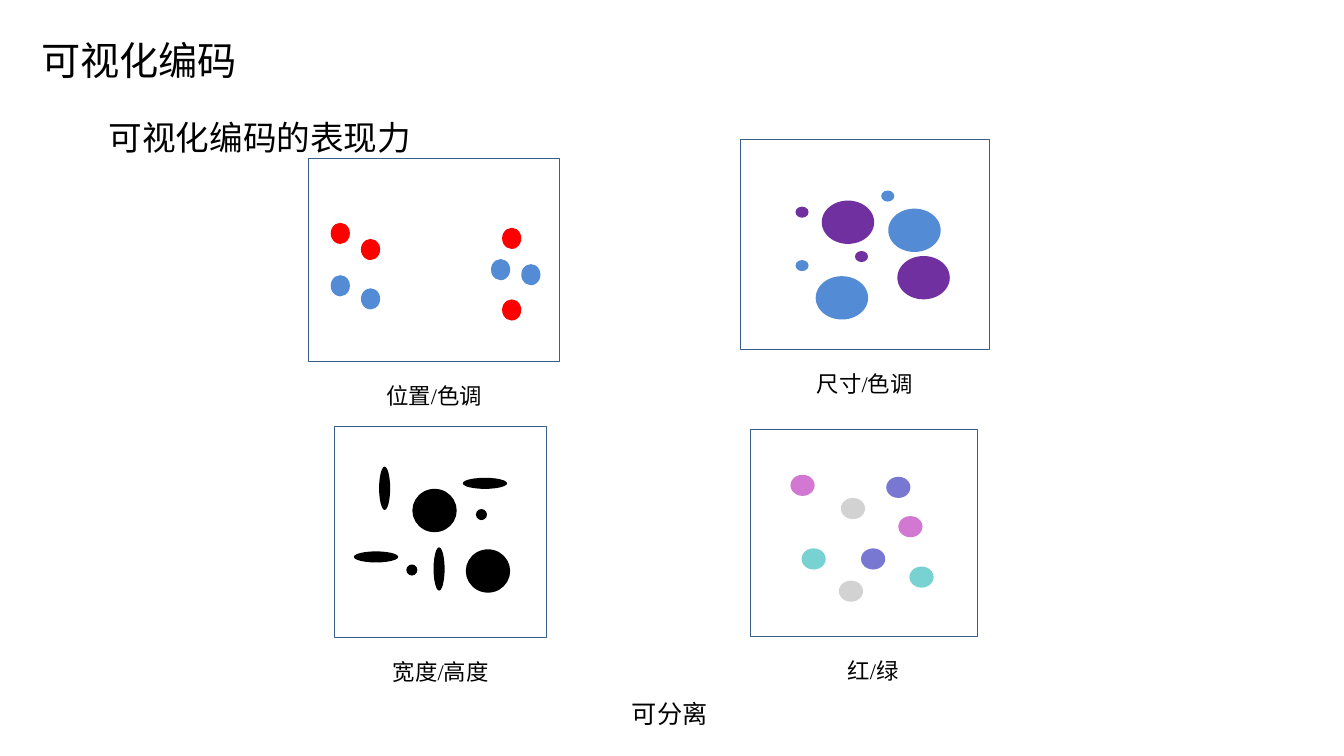
from pptx import Presentation
from pptx.dml.color import RGBColor
from pptx.enum.shapes import MSO_SHAPE as Preset
from pptx.enum.text import MSO_AUTO_SIZE as AutoSize, PP_ALIGN as Align
from pptx.oxml.ns import qn
from pptx.util import Inches, Pt
from lxml import etree

CJK_FONT = "Noto Sans CJK SC"
BLACK, FRAME_LINE = "000000", "395E8A"
RED, BLUE, PURPLE = "FF0000", "538CD5", "7030A0"
PINK, TEAL, VIOLET, GREY = "D278D2", "78D2D2", "7878D2", "D2D2D2"
CAPTION_GAP = 0.15

DOT = (0.19, 0.21)
SMALL, LARGE = (0.13, 0.11), (0.52, 0.43)
TALL, FLAT, ROUND, POINT = (0.11, 0.43), (0.44, 0.11), (0.44, 0.43), (0.11, 0.11)
SPOT = (0.24, 0.21)

# Each mark: offset from the frame's top left corner, size, colour
POSITION_HUE = [
    (0.22, 0.64, DOT, RED), (0.22, 1.16, DOT, BLUE),
    (2.11, 1.05, DOT, BLUE), (0.52, 0.80, DOT, RED),
    (0.52, 1.29, DOT, BLUE), (1.81, 1.00, DOT, BLUE),
    (1.92, 0.69, DOT, RED), (1.92, 1.40, DOT, RED),
]
SIZE_HUE = [
    (0.55, 0.67, SMALL, PURPLE), (0.55, 1.20, SMALL, BLUE),
    (1.40, 0.51, SMALL, BLUE), (0.81, 0.61, LARGE, PURPLE),
    (0.75, 1.36, LARGE, BLUE), (1.47, 0.69, LARGE, BLUE),
    (1.14, 1.11, SMALL, PURPLE), (1.56, 1.16, LARGE, PURPLE),
]
WIDTH_HEIGHT = [
    (0.44, 0.40, TALL, BLACK), (0.19, 1.24, FLAT, BLACK),
    (1.27, 0.51, FLAT, BLACK), (0.77, 0.62, ROUND, BLACK),
    (0.71, 1.37, POINT, BLACK), (1.40, 0.82, POINT, BLACK),
    (0.98, 1.20, TALL, BLACK), (1.30, 1.22, ROUND, BLACK),
]
RED_GREEN = [
    (0.40, 0.45, SPOT, PINK), (0.51, 1.18, SPOT, TEAL),
    (1.35, 0.47, SPOT, VIOLET), (0.90, 0.68, SPOT, GREY),
    (0.88, 1.50, SPOT, GREY), (1.47, 0.86, SPOT, PINK),
    (1.10, 1.18, SPOT, VIOLET), (1.58, 1.36, SPOT, TEAL),
]


def rgb(color):
    return RGBColor.from_string(color)


def add_text(shapes, text, left, top, width, height, *, size, font,
             align=Align.LEFT, wrap=False):
    box = shapes.add_textbox(*map(Inches, (left, top, width, height)))
    frame = box.text_frame
    frame.word_wrap = wrap
    frame.auto_size = AutoSize.SHAPE_TO_FIT_TEXT
    para = frame.paragraphs[0]
    para.alignment = align
    span = para.add_run()
    span.text = text
    span.font.size = Pt(size)
    span.font.color.rgb = rgb(BLACK)
    span.font.name = font
    east_asian = etree.SubElement(span.font._element, qn("a:ea"))
    east_asian.set("typeface", CJK_FONT)


def add_figure(shapes, preset, left, top, width, height, *, fill=None, line=None):
    """Draw a preset shape; a missing fill or line is left transparent."""
    figure = shapes.add_shape(preset, *map(Inches, (left, top, width, height)))
    figure.shadow.inherit = False
    if fill:
        figure.fill.solid()
        figure.fill.fore_color.rgb = rgb(fill)
    else:
        figure.fill.background()
    if line:
        figure.line.color.rgb = rgb(line)
        figure.line.width = Pt(0.75)
    else:
        figure.line.fill.background()


def add_panel(page, box, marks, caption, caption_width, caption_shift=0):
    """Group the marks, the frame and a caption centred below the frame."""
    left, top, width, height = box
    shapes = page.shapes.add_group_shape().shapes
    for x, y, mark_size, color in marks:
        add_figure(shapes, Preset.OVAL, left + x, top + y, *mark_size, fill=color)
    add_figure(shapes, Preset.RECTANGLE, *box, line=FRAME_LINE)
    caption_left = left + (width - caption_width) / 2 + caption_shift
    add_text(shapes, caption, caption_left, top + height + CAPTION_GAP,
             caption_width, 0.47, size=16, font="Times New Roman",
             align=Align.CENTER, wrap=True)


def add_headings(page):
    add_text(page.shapes, "可视化编码", 0.31, 0.31, 2.17, 0.57, size=28, font=CJK_FONT)
    add_text(page.shapes, "可视化编码的表现力", 0.98, 1.11, 3.23, 0.5,
             size=24, font=CJK_FONT)


def main():
    deck = Presentation()
    deck.slide_width, deck.slide_height = Inches(13.33), Inches(7.5)
    page = deck.slides.add_slide(deck.slide_layouts[6])
    add_headings(page)
    add_panel(page, (3.06, 1.57, 2.49, 2.02), POSITION_HUE, "位置/色调", 1.97)
    add_panel(page, (7.34, 1.38, 2.47, 2.09), SIZE_HUE, "尺寸/色调", 2.48)
    add_panel(page, (3.32, 4.23, 2.1, 2.1), WIDTH_HEIGHT, "宽度/高度", 2.11)
    add_panel(page, (7.44, 4.26, 2.26, 2.06), RED_GREEN, "红/绿", 1.5, caption_shift=0.09)
    add_text(page.shapes, "可分离", 6.17, 6.88, 1, 0.4, size=18, font="Calibri")
    deck.save("out.pptx")


if __name__ == "__main__":
    main()
